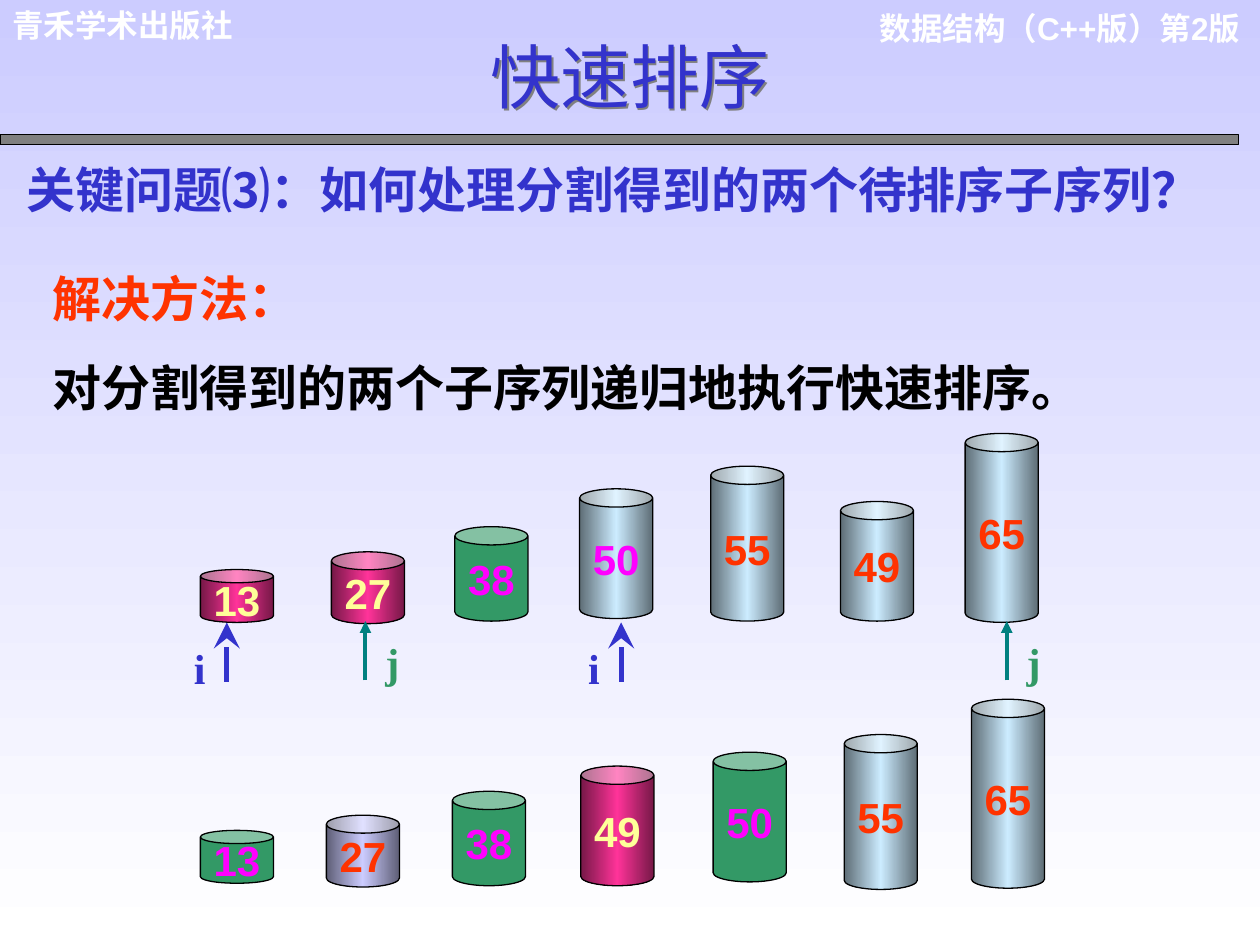
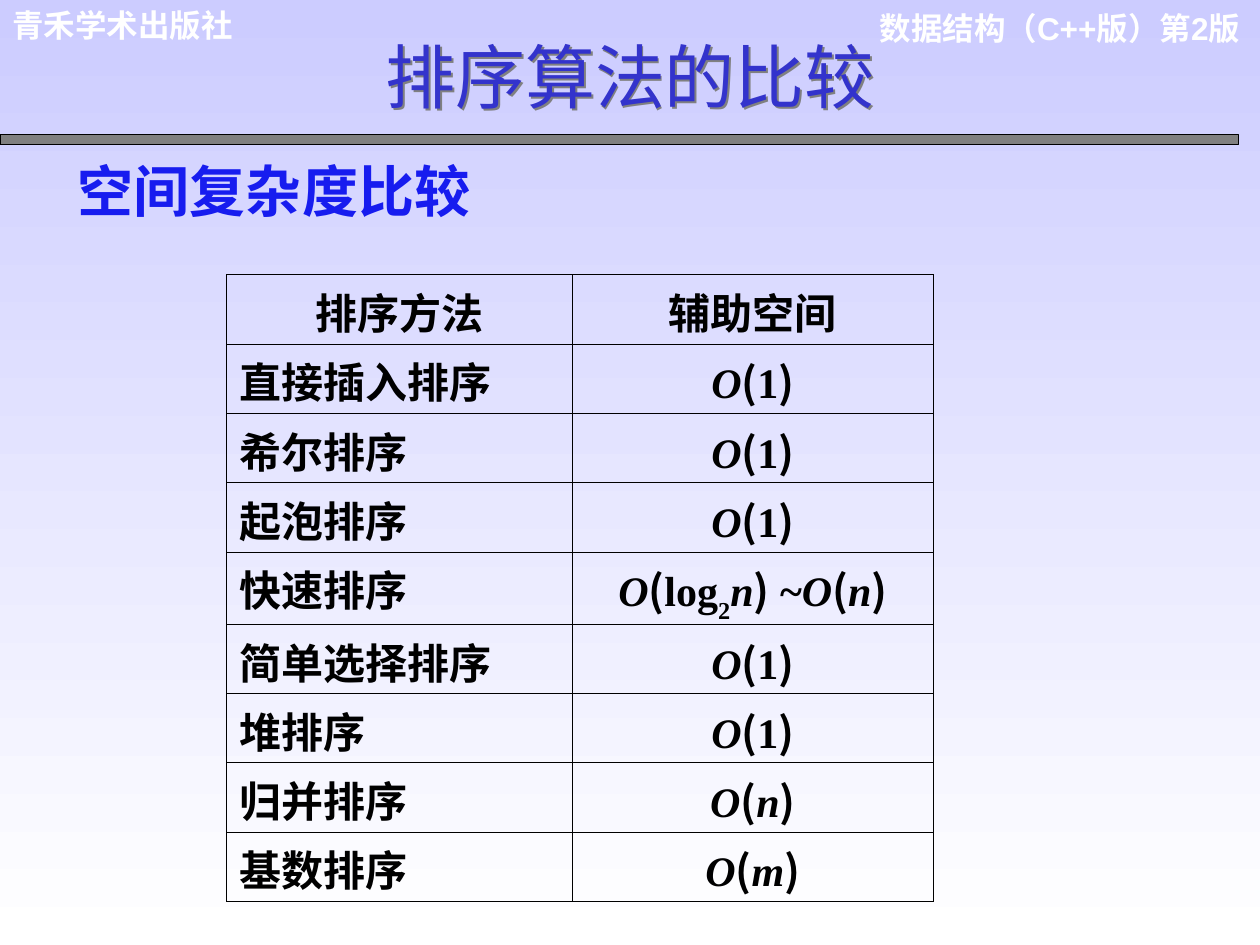
from lxml.etree import SubElement
from pptx import Presentation
from pptx.dml.color import RGBColor as RGB
from pptx.enum.shapes import MSO_CONNECTOR as Connector, MSO_SHAPE as Preset
from pptx.enum.text import MSO_ANCHOR as Anchor, PP_ALIGN as Align
from pptx.oxml.ns import qn
from pptx.util import Inches, Pt

COLUMNS, ROWS = 10, 7.5
UNIT = Inches(1)

WHITE = RGB(0xFF, 0xFF, 0xFF)
BLACK = RGB(0, 0, 0)
GRAY = RGB(0x80, 0x80, 0x80)
LAVENDER = RGB(0xCC, 0xCC, 0xFF)
DARK_LAVENDER = RGB(0x5E, 0x5E, 0x76)
ICE = RGB(0xCC, 0xEC, 0xFF)
DARK_ICE = RGB(0x5E, 0x6D, 0x76)
PINK = RGB(0xFF, 0x33, 0x99)
DARK_PINK = RGB(0x76, 0x18, 0x47)
BLUE = RGB(0x33, 0x33, 0xCC)
BRIGHT_BLUE = RGB(0x17, 0x1C, 0xEF)
RED = RGB(0xFF, 0x33, 0x00)
GREEN = RGB(0x33, 0x99, 0x66)
TEAL = RGB(0, 0x80, 0x80)
MAGENTA = RGB(0xFF, 0, 0xFF)
YELLOW = RGB(0xFF, 0xFF, 0x99)

SANS, SERIF, HAN, LATIN = "Arial", "Times New Roman", "Noto Sans CJK SC", "Lato"

PIVOT = ([GREEN], MAGENTA)
LEFT_PART = ([DARK_PINK, PINK, DARK_PINK], YELLOW)
RIGHT_PART = ([DARK_ICE, ICE, DARK_ICE], RED)
MOVING_PIVOT = ([DARK_ICE, ICE, DARK_ICE], MAGENTA)
SINGLE = ([DARK_LAVENDER, LAVENDER, DARK_LAVENDER], RED)

CYLINDER_WIDTH = 0.58
CYLINDER_HEIGHTS = {13: 0.42, 27: 0.57, 38: 0.75, 49: 0.95, 50: 1.03, 55: 1.23, 65: 1.5}
PARTITIONED = [
    (13, 1.59, 4.94, LEFT_PART), (27, 2.63, 4.95, LEFT_PART), (38, 3.61, 4.93, PIVOT),
    (50, 4.6, 4.91, MOVING_PIVOT), (55, 5.64, 4.93, RIGHT_PART),
    (49, 6.67, 4.93, RIGHT_PART), (65, 7.66, 4.94, RIGHT_PART),
]
RECURSED = [
    (13, 1.59, 7.01, PIVOT), (27, 2.59, 7.04, SINGLE), (38, 3.59, 7.03, PIVOT),
    (49, 4.61, 7.03, LEFT_PART), (50, 5.66, 7, PIVOT),
    (55, 6.7, 7.06, RIGHT_PART), (65, 7.71, 7.05, RIGHT_PART),
]
CONSTANT = "O|(|1|)"
SPACE_COSTS = [
    ("直接插入排序", CONSTANT), ("希尔排序", CONSTANT), ("起泡排序", CONSTANT),
    ("快速排序", "O|(|log|2|n|)| ~|O|(|n|)"), ("简单选择排序", CONSTANT),
    ("堆排序", CONSTANT), ("归并排序", "O|(|n|)"), ("基数排序", "O|(|m|)"),
]


def grid(*counts):
    """Turn counts of grid columns or rows into slide lengths."""
    return [int(count * UNIT) for count in counts]


def format_run(run, size, font, color, bold=True):
    """Give a run its size, fonts and colour."""
    run.font.size, run.font.name, run.font.bold = Pt(size), font, bold
    run.font.color.rgb = color
    SubElement(run._r.get_or_add_rPr(), qn("a:ea")).set("typeface", HAN)


def fill_gradient(fill, owner, colors, angle):
    """Fill with evenly spaced colour stops."""
    fill.gradient()
    fill.gradient_angle = angle
    stops = next(owner.iter(qn("a:gsLst")))
    for stop in list(stops):
        stops.remove(stop)
    for place, color in enumerate(colors):
        stop = SubElement(stops, qn("a:gs"), pos=str(100000 * place // (len(colors) - 1)))
        SubElement(stop, qn("a:srgbClr"), val=str(color))


def add_text(slide, place, lines, size, font, align=Align.LEFT, gap=0):
    """Add a wrapped text box of (text, colour) lines."""
    frame = slide.shapes.add_textbox(*grid(*place)).text_frame
    frame.word_wrap = True
    for number, (text, color) in enumerate(lines):
        paragraph = frame.add_paragraph() if number else frame.paragraphs[0]
        paragraph.text, paragraph.alignment = text, align
        if number:
            paragraph.space_before = Pt(gap)
        format_run(paragraph.runs[0], size, font, color)


def add_title(slide, parts):
    """Fill the title placeholder with shadowed (text, font) parts."""
    title = slide.shapes.title
    title.left, title.top, title.width, title.height = grid(0, 0.25, COLUMNS, 0.73)
    title.fill.background()
    effects = SubElement(title._element.spPr, qn("a:effectLst"))
    shadow = SubElement(effects, qn("a:outerShdw"), dist="20000", dir="2700000")
    SubElement(shadow, qn("a:srgbClr"), val=str(GRAY))
    title.text_frame.vertical_anchor = Anchor.BOTTOM
    paragraph = title.text_frame.paragraphs[0]
    paragraph.alignment = Align.CENTER
    for text, font in parts:
        run = paragraph.add_run()
        run.text = text
        format_run(run, 40, font, BLUE, bold=False)


def add_course_slide(prs, title_parts):
    """Add a slide with the course header, rule and title."""
    slide = prs.slides.add_slide(prs.slide_layouts[5])
    add_text(slide, (6.77, 0.02, 3.17, 0.7), [("数据结构（C++版）第2版", WHITE)],
             18, SANS, Align.RIGHT)
    add_text(slide, (0, 0, 2.71, 0.4), [("青禾学术出版社", WHITE)], 18, SANS)
    rule = slide.shapes.add_shape(Preset.RECTANGLE, *grid(0, 1.07, 9.83, 0.08))
    outline(rule)
    rule.fill.solid()
    rule.fill.fore_color.rgb = GRAY
    add_title(slide, title_parts)
    return slide


def outline(shape):
    """Give a shape a thin black edge and no shadow."""
    shape.shadow.inherit = False
    shape.line.color.rgb, shape.line.width = BLACK, Pt(0.75)


def add_cylinder(slide, value, left, bottom, style):
    """Stand a cylinder labelled with its key on a base line."""
    colors, label_color = style
    height = CYLINDER_HEIGHTS[value]
    cylinder = slide.shapes.add_shape(
        Preset.CAN, *grid(left, bottom - height, CYLINDER_WIDTH, height))
    outline(cylinder)
    if len(colors) == 1:
        cylinder.fill.solid()
        cylinder.fill.fore_color.rgb = colors[0]
    else:
        fill_gradient(cylinder.fill, cylinder._element, colors, 0)
    frame = cylinder.text_frame
    frame.word_wrap, frame.vertical_anchor = False, Anchor.MIDDLE
    frame.text = str(value)
    frame.paragraphs[0].alignment = Align.CENTER
    format_run(frame.paragraphs[0].runs[0], 24, SANS, label_color)


def add_pointer(slide, x, bottom, color, width, head, head_size):
    """Draw an upward arrow to a cylinder."""
    arrow = slide.shapes.add_connector(
        Connector.STRAIGHT, *grid(x, bottom, x, bottom - 0.47))
    arrow.line.color.rgb, arrow.line.width = color, Pt(width)
    SubElement(arrow.line._get_or_add_ln(), qn("a:tailEnd"),
               type=head, w=head_size, len=head_size)
    SubElement(arrow._element.spPr, qn("a:effectLst"))


def add_index_pair(slide, i_x, j_x):
    """Mark the ends of a subsequence with indexes i and j."""
    add_pointer(slide, i_x, 5.41, BLUE, 3, "stealth", "lg")
    add_text(slide, (i_x - 0.36, 5.05, 0.25, 0.5), [("i", BLUE)], 24, SERIF)
    add_pointer(slide, j_x, 5.4, TEAL, 2.25, "triangle", "med")
    add_text(slide, (j_x + 0.06, 5, 0.25, 0.5), [("j", GREEN)], 24, SERIF)


def fill_cell(cell, tokens, align):
    """Write styled formula tokens into a bordered, unfilled cell."""
    cell.fill.background()
    cell.vertical_anchor = Anchor.MIDDLE
    paragraph = cell.text_frame.paragraphs[0]
    paragraph.alignment = align
    for token in tokens.split("|"):
        run = paragraph.add_run()
        run.text = token
        format_run(run, 24, HAN if token in "()" else SERIF, BLACK)
        run.font.italic = token in "Onm"
        if token == "2":
            run._r.rPr.set("baseline", "-30000")
    properties = cell._tc.get_or_add_tcPr()
    for place, side in enumerate(("a:lnL", "a:lnR", "a:lnT", "a:lnB")):
        border = SubElement(properties, qn(side), w=str(Pt(0.45)))
        SubElement(SubElement(border, qn("a:solidFill")), qn("a:srgbClr"), val=str(BLACK))
        properties.insert(place, border)


def add_cost_table(slide):
    """Tabulate the auxiliary space of each sorting method."""
    records = [("排序方法", "辅助空间"), *SPACE_COSTS]
    table = slide.shapes.add_table(len(records), 2, *grid(1.8, 2.18, 5.61, 4.97)).table
    table.first_row = table.horz_banding = False
    for column, width in zip(table.columns, grid(2.74, 2.87)):
        column.width = width
    for number, (method, cost) in enumerate(records):
        table.rows[number].height = grid(0.57 if "log" in cost else 0.55)[0]
        fill_cell(table.cell(number, 0), method, Align.LEFT if number else Align.CENTER)
        fill_cell(table.cell(number, 1), cost, Align.CENTER)


def build_quick_sort(prs):
    """Show how the two subsequences are sorted recursively."""
    slide = add_course_slide(prs, [("快速", LATIN), ("排序", HAN)])
    add_text(slide, (0.11, 1.22, 9.61, 0.57),
             [("关键问题⑶：如何处理分割得到的两个待排序子序列？", BLUE)], 28, HAN)
    add_text(slide, (0.32, 2.08, 9.3, 1.28),
             [("解决方法：", RED), ("对分割得到的两个子序列递归地执行快速排序。", BLACK)],
             28, HAN, gap=17.5)
    for cylinder in PARTITIONED + RECURSED:
        add_cylinder(slide, *cylinder)
    add_index_pair(slide, 1.8, 2.9)
    add_index_pair(slide, 4.93, 7.99)


def build_comparison(prs):
    """Compare the space complexity of the sorting methods."""
    slide = add_course_slide(prs, [("排序算法的比较", HAN)])
    add_text(slide, (0.52, 1.19, 3.92, 0.64), [("空间复杂度比较", BRIGHT_BLUE)], 32, SERIF)
    add_cost_table(slide)


def main():
    """Build and save the presentation."""
    prs = Presentation()
    prs.slide_width, prs.slide_height = grid(COLUMNS, ROWS)
    master = prs.slide_master
    fill_gradient(master.background.fill, master._element, [LAVENDER, WHITE], 270)
    build_quick_sort(prs)
    build_comparison(prs)
    prs.save("out.pptx")


if __name__ == "__main__":
    main()
